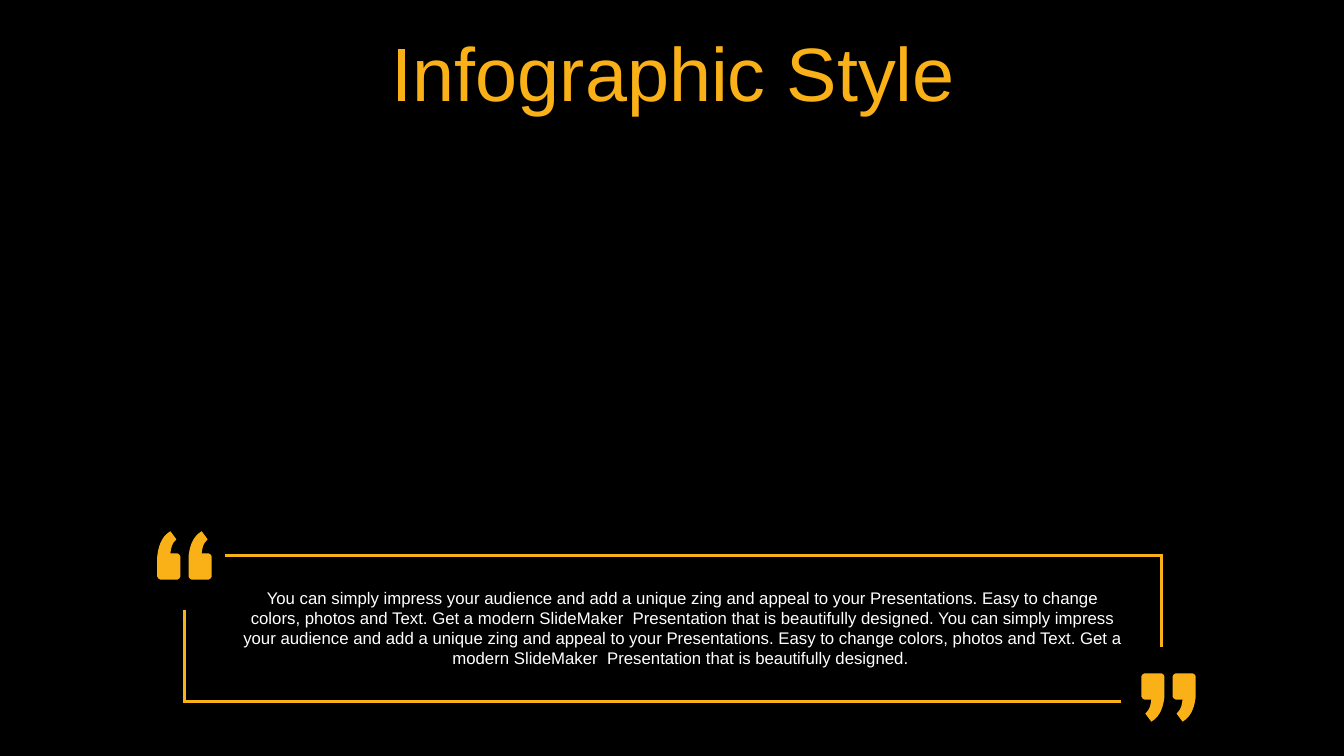
"""Build the Infographic Style slide with a framed quotation."""
from lxml import etree
from pptx import Presentation
from pptx.dml.color import RGBColor
from pptx.enum.text import MSO_ANCHOR, MSO_AUTO_SIZE, PP_ALIGN
from pptx.oxml.ns import qn
from pptx.util import Inches, Pt

BLACK = RGBColor(0x00, 0x00, 0x00)
WHITE = RGBColor(0xFF, 0xFF, 0xFF)
AMBER = RGBColor(0xFA, 0xB1, 0x17)
FONT = "Arial"
WIDTH, HEIGHT = 13.33, 7.5

TITLE = "Infographic Style"
SENTENCES = (
    "You can simply impress your audience and add a unique zing and appeal to your Presentations. "
    "Easy to change colors, photos and Text. "
    "Get a modern SlideMaker  Presentation that is beautifully designed. "
)
QUOTE = SENTENCES * 2

MARK = [
    [(0.03, 0.48)],
    [(0.2, 0.48)],
    [(0.21, 0.48), (0.23, 0.46), (0.23, 0.45)],
    [(0.23, 0.25)],
    [(0.23, 0.24), (0.21, 0.22), (0.2, 0.22)],
    [(0.18, 0.22), (0.15, 0.22), (0.13, 0.22)],
    [(0.14, 0.16), (0.14, 0.13), (0.19, 0.08)],
    [(0.13, 0)],
    [(0.03, 0.06), (0.01, 0.17), (0, 0.25)],
    [(0, 0.25), (0, 0.28), (0, 0.28)],
    [(0, 0.45)],
    [(0, 0.46), (0.02, 0.48), (0.03, 0.48)],
]
MARK_LEFT, MARK_TOP, MARK_PITCH = 1.56, 5.27, 0.31
MARK_SPAN = (13.42, 12.43)
FRAME = [[(2.23, 5.51)], [(11.52, 5.51)], [(11.52, 6.42)]]
FRAME_SPAN = (13.35, 12.47)


def shift(segments, left, top):
    """Move an outline by an offset."""
    return [[(left + x, top + y) for x, y in seg] for seg in segments]


def half_turn(segments, span):
    """Rotate an outline by 180 degrees inside a span."""
    return [[(span[0] - x, span[1] - y) for x, y in seg] for seg in segments]


def add_path(group, segments, close):
    """Draw a filled outline with curves or an open line."""
    start, *rest = [(Inches(x), Inches(y)) for seg in segments for x, y in seg]
    builder = group.shapes.build_freeform(*start)
    builder.add_line_segments(rest, close=close)
    sp = builder.convert_to_shape()
    sp.shadow.inherit = False
    lines = iter(list(sp.element.iter(qn("a:lnTo"))))
    for seg in segments[1:]:
        parts = [next(lines) for _ in seg]
        if len(parts) == 3:
            curve = etree.Element(qn("a:cubicBezTo"))
            parts[0].addprevious(curve)
            for part in parts:
                curve.append(part[0])
                part.getparent().remove(part)
    if close:
        sp.fill.solid()
        sp.fill.fore_color.rgb = AMBER
        sp.line.fill.background()
    else:
        sp.fill.background()
        sp.line.color.rgb = AMBER
        sp.line.width = Pt(2)
        ln = sp.element.spPr.find(qn("a:ln"))
        etree.SubElement(ln, qn("a:miter"), lim="800000")


def add_text(s, text, box, size, color):
    """Add a centred text box and return its frame."""
    tf = s.shapes.add_textbox(*map(Inches, box)).text_frame
    tf.word_wrap = True
    tf.text = text
    p = tf.paragraphs[0]
    p.alignment = PP_ALIGN.CENTER
    font = p.runs[0].font
    font.name, font.size = FONT, Pt(size)
    font.color.rgb = color
    return tf


def main():
    """Build and save the slide."""
    prs = Presentation()
    prs.slide_width, prs.slide_height = Inches(WIDTH), Inches(HEIGHT)
    s = prs.slides.add_slide(prs.slide_layouts[6])
    s.background.fill.solid()
    s.background.fill.fore_color.rgb = BLACK

    tf = add_text(s, TITLE, (0.35, 0.37, 12.66, 0.79), 54, AMBER)
    tf.vertical_anchor = MSO_ANCHOR.MIDDLE
    tf.paragraphs[0].line_spacing = 0.9
    tf.paragraphs[0].space_before = Pt(10)
    tf = add_text(s, QUOTE, (2.28, 5.78, 8.99, 0.91), 12, WHITE)
    tf.auto_size = MSO_AUTO_SIZE.SHAPE_TO_FIT_TEXT

    opening = [shift(MARK, MARK_LEFT + col * MARK_PITCH, MARK_TOP) for col in range(2)]
    closing = [half_turn(mark, MARK_SPAN) for mark in opening]
    frame = [FRAME, half_turn(FRAME, FRAME_SPAN)]
    for outlines, close in ((opening, True), (closing, True), (frame, False)):
        group = s.shapes.add_group_shape()
        for segments in outlines:
            add_path(group, segments, close)
    prs.save("out.pptx")


if __name__ == "__main__":
    main()
